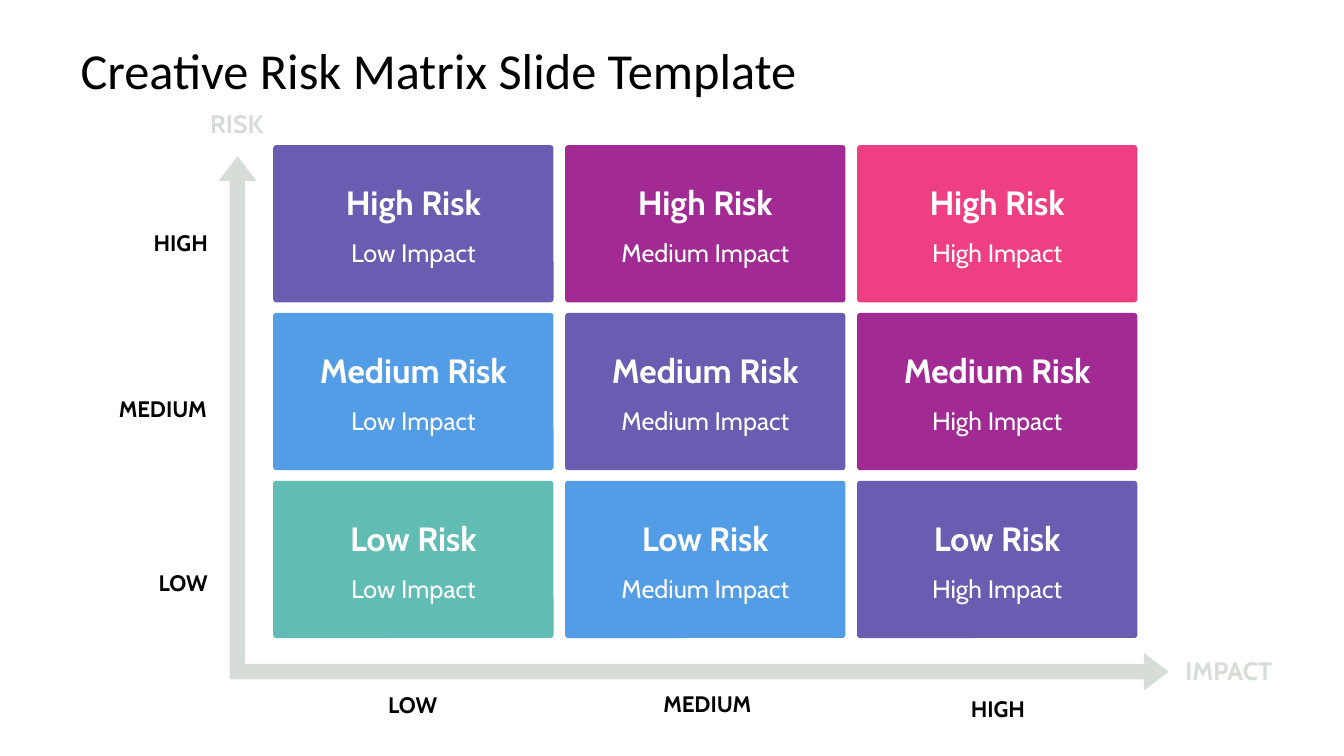
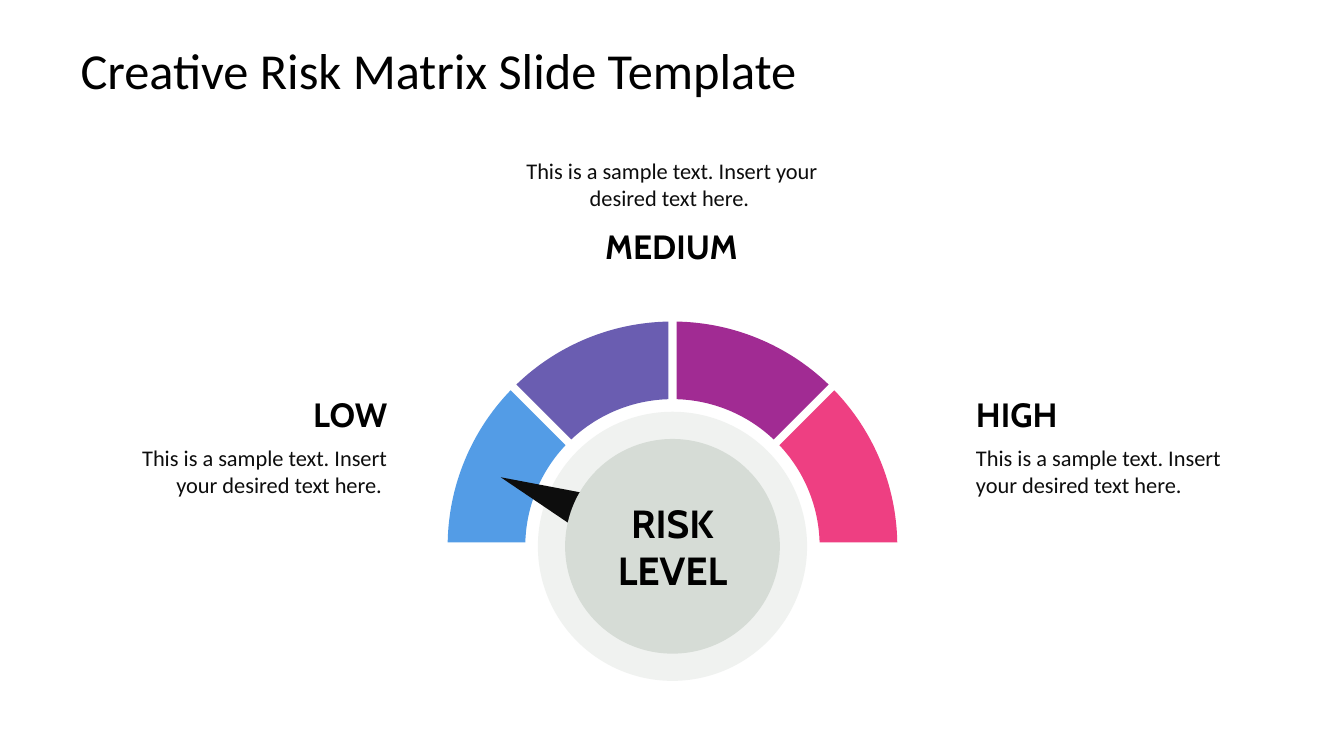
from math import asin, cos, pi, sin, tan

from lxml import etree
from pptx import Presentation
from pptx.dml.color import RGBColor
from pptx.enum.shapes import MSO_SHAPE as SHAPE
from pptx.enum.text import MSO_ANCHOR as ANCHOR, PP_ALIGN as ALIGN
from pptx.oxml.ns import qn
from pptx.util import Pt

PX = 9144
BLACK = RGBColor(0x00, 0x00, 0x00)
INK = RGBColor(0x0D, 0x0D, 0x0D)
WHITE = RGBColor(0xFF, 0xFF, 0xFF)
SAGE = RGBColor(0xD6, 0xDC, 0xD6)
MIST = RGBColor(0xF0, 0xF2, 0xF0)
TEAL = RGBColor(0x61, 0xBC, 0xB3)
BLUE = RGBColor(0x53, 0x9C, 0xE6)
VIOLET = RGBColor(0x6A, 0x5D, 0xB1)
PURPLE = RGBColor(0xA1, 0x2B, 0x93)
PINK = RGBColor(0xEE, 0x3F, 0x82)
SEVERITY = [TEAL, BLUE, VIOLET, PURPLE, PINK]
HEAD_FONT, BODY_FONT = "Cabin", "Calibri"

TITLE = "Creative Risk Matrix Slide Template"
RISKS = ["High", "Medium", "Low"]
IMPACTS = ["Low", "Medium", "High"]
FIRST_LEFT, LAST_LEFT, CELL_W = 271, 850, 278
FIRST_TOP, LAST_TOP, CELL_H = 144, 477, 156
AXIS_LABELS = [
    ("LOW", (375, 681, 71, 37), ALIGN.LEFT),
    ("MEDIUM", (648, 680, 115, 37), ALIGN.LEFT),
    ("HIGH", (953, 685, 78, 37), ALIGN.LEFT),
    ("HIGH", (138, 222, 78, 37), ALIGN.RIGHT),
    ("MEDIUM", (100, 387, 115, 37), ALIGN.RIGHT),
    ("LOW", (145, 560, 71, 37), ALIGN.RIGHT),
]
AXIS_NAMES = [
    ("IMPACT", (1166, 645, 114, 40), ALIGN.LEFT),
    ("RISK", (196, 103, 75, 40), ALIGN.RIGHT),
]

SAMPLE = "This is a sample text. Insert your desired text here."
LEVELS = [
    ("LOW", (103, 392, 281, 37), ANCHOR.MIDDLE,
     SAMPLE + " ", (100, 441, 284, 75), ANCHOR.TOP, ALIGN.RIGHT),
    ("MEDIUM", (491, 224, 350, 37), ANCHOR.TOP,
     SAMPLE + " ", (489, 130, 355, 79), ANCHOR.BOTTOM, ALIGN.CENTER),
    ("HIGH", (968, 392, 262, 37), ANCHOR.MIDDLE,
     SAMPLE, (968, 441, 265, 75), ANCHOR.TOP, ALIGN.LEFT),
]
GAUGE_X, GAUGE_Y = 667, 542
ARC_OUTER, ARC_INNER, ARC_GAP = 223, 146, 8
RIM_SIZE, HUB_SIZE = 267, 213


def px(values):
    return [round(value * PX) for value in values]


def paint(shape, color):
    shape.shadow.inherit = False
    shape.fill.solid()
    shape.fill.fore_color.rgb = color
    shape.line.fill.background()
    return shape


def add_figure(slide, kind, box, color):
    return paint(slide.shapes.add_shape(kind, *px(box)), color)


def set_frame(frame, inset, anchor, wrap=True):
    frame.margin_left, frame.margin_top, frame.margin_right, frame.margin_bottom = px(inset)
    frame.vertical_anchor = anchor
    frame.word_wrap = wrap


def write(frame, text, size, font=HEAD_FONT, color=BLACK, bold=True,
          align=ALIGN.LEFT, spacing=None):
    for line in text.split("\n"):
        first = frame.paragraphs[0]
        paragraph = frame.add_paragraph() if first.runs else first
        paragraph.alignment = align
        paragraph.line_spacing = spacing
        run = paragraph.add_run()
        run.text = line
        run.font.size = Pt(size)
        run.font.name = font
        run.font.bold = bold
        run.font.color.rgb = color


def add_label(slide, box, text, size, inset=(0, 0, 0, 0), anchor=ANCHOR.TOP,
              wrap=True, **style):
    frame = slide.shapes.add_textbox(*px(box)).text_frame
    set_frame(frame, inset, anchor, wrap)
    write(frame, text, size, **style)


def add_tag(slide, box, text, size, **style):
    add_label(slide, box, text, size, inset=(10, 5, 10, 5), wrap=False, **style)


def add_titled_slide(deck):
    slide = deck.slides.add_slide(deck.slide_layouts[6])
    add_label(slide, (67, 30, 1200, 78), TITLE, 36, inset=(13, 7, 13, 7),
              anchor=ANCHOR.MIDDLE, font=BODY_FONT, bold=False)
    return slide


def add_cell(slide, row, column):
    left = FIRST_LEFT + (LAST_LEFT - FIRST_LEFT) * column / (len(IMPACTS) - 1)
    top = FIRST_TOP + (LAST_TOP - FIRST_TOP) * row / (len(RISKS) - 1)
    severity = column + len(RISKS) - 1 - row
    cell = add_figure(slide, SHAPE.ROUNDED_RECTANGLE, (left, top, CELL_W, CELL_H),
                      SEVERITY[severity])
    cell.adjustments[0] = 0.02
    frame = cell.text_frame
    set_frame(frame, (28, 36, 28, 0), ANCHOR.TOP)
    write(frame, f"{RISKS[row]} Risk", 24, color=WHITE, align=ALIGN.CENTER)
    write(frame, f"{IMPACTS[column]} Impact", 18, color=WHITE, bold=False,
          align=ALIGN.CENTER, spacing=1.5)


def build_matrix(deck):
    slide = add_titled_slide(deck)
    axes = add_figure(slide, SHAPE.LEFT_UP_ARROW, (217, 155, 942, 530), SAGE)
    for index, ratio in enumerate((0.029, 0.035, 0.046)):
        axes.adjustments[index] = ratio
    axes._element.spPr.xfrm.set("flipH", "1")
    for text, box, align in AXIS_LABELS:
        add_tag(slide, box, text, 16, align=align)
    for row in range(len(RISKS)):
        for column in range(len(IMPACTS)):
            add_cell(slide, row, column)
    for text, box, align in AXIS_NAMES:
        add_tag(slide, box, text, 18, color=SAGE, align=align)


def arc_points(radius, start, end):
    trim = asin(ARC_GAP / 2 / radius)
    start, end = start - trim, end + trim
    handle = 4 / 3 * tan((start - end) / 4)
    polar = [(start, 0), (start, handle), (end, -handle), (end, 0)]
    return [px((GAUGE_X + radius * (cos(a) + h * sin(a)),
                GAUGE_Y - radius * (sin(a) - h * cos(a)))) for a, h in polar]


def bend(lines):
    curve = etree.Element(qn("a:cubicBezTo"))
    lines[0].addprevious(curve)
    for line in lines:
        curve.append(line[0])
        line.getparent().remove(line)


def add_segment(slide, index, count, color):
    start, end = pi - index * pi / count, pi - (index + 1) * pi / count
    outer = arc_points(ARC_OUTER, start, end)
    inner = arc_points(ARC_INNER, start, end)
    outline = slide.shapes.build_freeform(*outer[0])
    outline.add_line_segments(outer[1:] + inner[::-1], close=True)
    segment = paint(outline.convert_to_shape(), color)
    lines = list(segment._element.iter(qn("a:lnTo")))
    bend(lines[:3])
    bend(lines[4:7])


def add_disc(slide, size, color):
    box = (GAUGE_X - size / 2, GAUGE_Y - size / 2, size, size)
    add_figure(slide, SHAPE.OVAL, box, color)


def build_gauge(deck):
    slide = add_titled_slide(deck)
    add_disc(slide, RIM_SIZE, MIST)
    segments = SEVERITY[1:]
    for index, color in enumerate(segments):
        add_segment(slide, index, len(segments), color)
    for name, name_box, name_anchor, sample, sample_box, sample_anchor, align in LEVELS:
        add_label(slide, name_box, name, 24, anchor=name_anchor, align=align)
        add_label(slide, sample_box, sample, 16, anchor=sample_anchor, font=BODY_FONT,
                  color=INK, bold=False, align=align)
    needle = add_figure(slide, SHAPE.ISOSCELES_TRIANGLE, (545, 415, 78, 189), INK)
    needle.rotation = 292.4
    add_disc(slide, HUB_SIZE, SAGE)
    add_label(slide, (600, 490, 134, 104), "RISK\nLEVEL", 28, anchor=ANCHOR.MIDDLE,
              inset=(10, 5, 10, 5), wrap=False, align=ALIGN.CENTER)


def main():
    deck = Presentation()
    deck.slide_width, deck.slide_height = px((1333, 750))
    build_matrix(deck)
    build_gauge(deck)
    deck.save("out.pptx")


if __name__ == "__main__":
    main()
